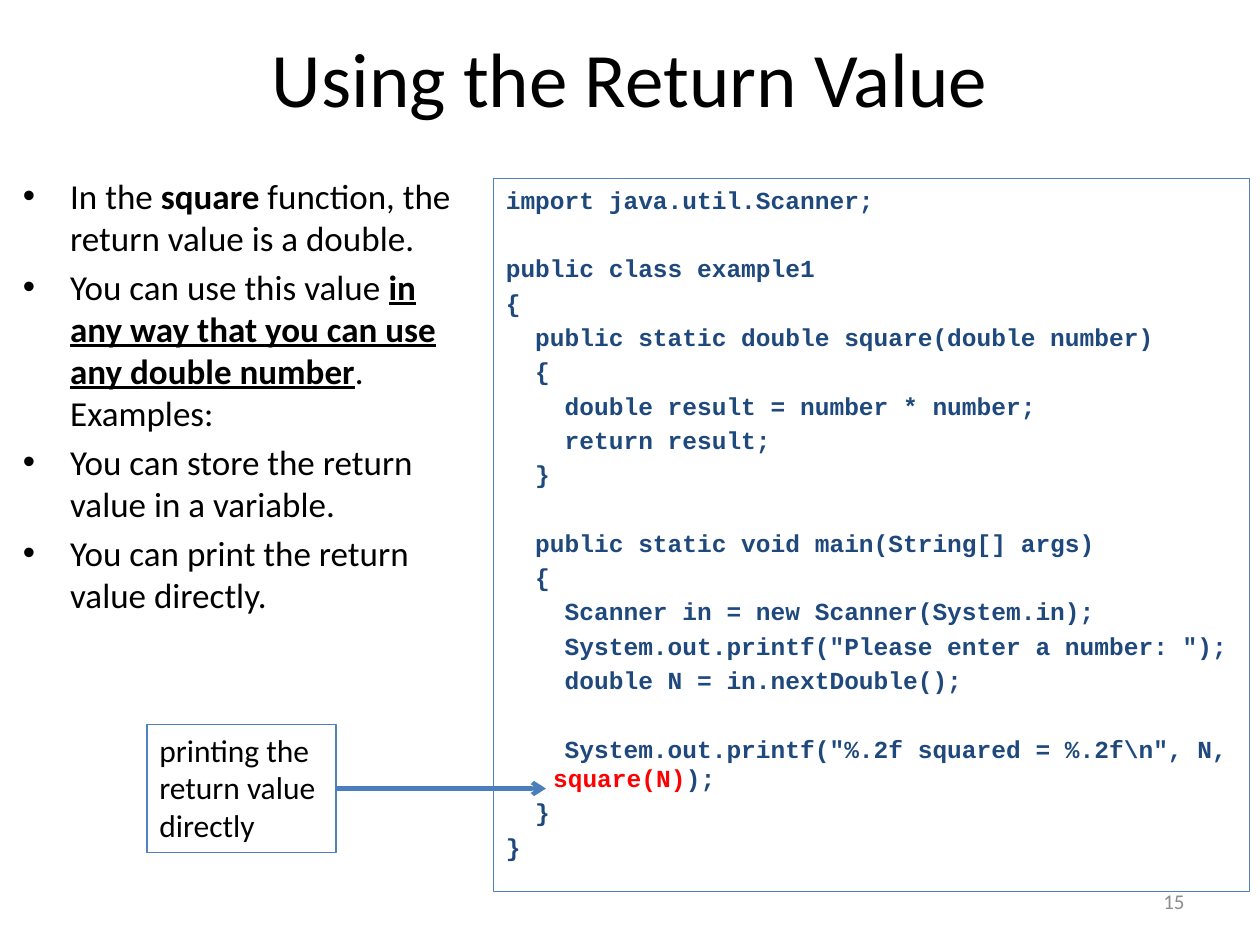
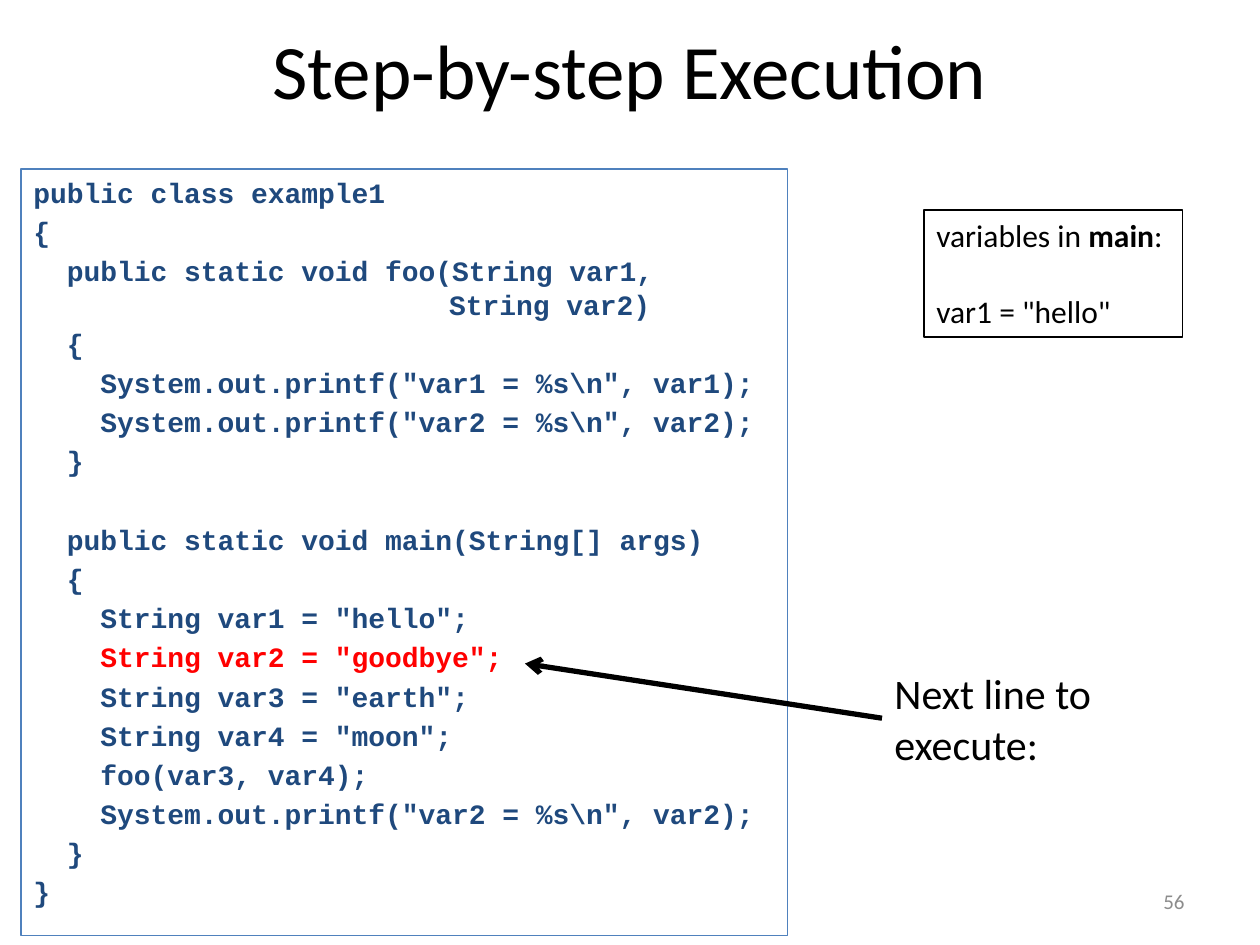
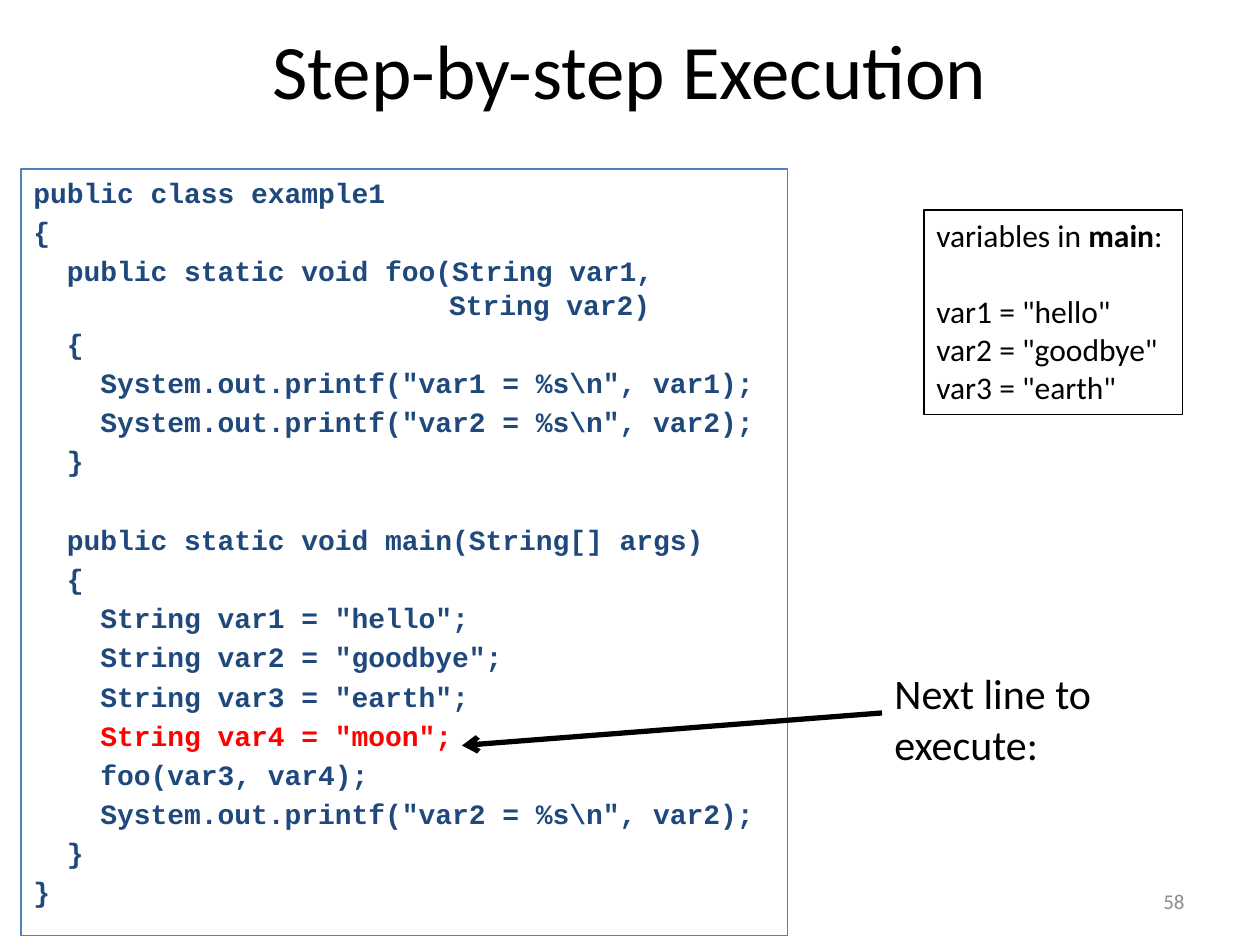
"""Build three slides on return values and step-by-step execution."""
from lxml.etree import SubElement
from pptx import Presentation
from pptx.dml.color import RGBColor
from pptx.enum.shapes import MSO_CONNECTOR, MSO_SHAPE
from pptx.enum.text import MSO_ANCHOR, PP_ALIGN
from pptx.oxml.ns import qn
from pptx.util import Pt

SCALE = 7620
BLACK = RGBColor(0x00, 0x00, 0x00)
NAVY = RGBColor(0x1F, 0x49, 0x7D)
BLUE = RGBColor(0x4F, 0x81, 0xBD)
STEEL = RGBColor(0x4B, 0x7E, 0xBC)
GRAY = RGBColor(0x8C, 0x8C, 0x8C)
RED = RGBColor(0xFF, 0x00, 0x00)
SANS, MONO = "Calibri", "Courier New"
HANG = 45

SQUARE = """import java.util.Scanner;

public class example1
{
  public static double square(double number)
  {
    double result = number * number;
    return result;
  }

  public static void main(String[] args)
  {
    Scanner in = new Scanner(System.in);
    System.out.printf("Please enter a number: ");
    double N = in.nextDouble();

    System.out.printf("%.2f squared = %.2f\\n", N, square(N));
  }
}"""

FOO = """public class example1
{
  public static void foo(String var1,\v                      String var2)
  {
    System.out.printf("var1 = %s\\n", var1);
    System.out.printf("var2 = %s\\n", var2);
  }

  public static void main(String[] args)
  {
    String var1 = "hello";
    String var2 = "goodbye";
    String var3 = "earth";
    String var4 = "moon";
    foo(var3, var4);
    System.out.printf("var2 = %s\\n", var2);
  }
}"""

NOTES = [
    [("In the", ""), (" square", "b"), (" function, the return value is a double.", "")],
    [("You can use this value ", ""),
     ("in any way that you can use any double number", "bu"), (". Examples:", "")],
    [("You can store the return value in a variable.", "")],
    [("You can print the return value directly.", "")],
]


def px(*nums):
    """Turn px lengths into EMU."""
    return [round(num * SCALE) for num in nums]


class Deck:
    """Hold the deck style and the current slide."""

    def __init__(self):
        """Start an empty deck."""
        self.prs = Presentation()
        self.prs.slide_width, self.prs.slide_height = px(1200, 900)
        self.slide = None

    def page(self, title, num, top, tall):
        """Add a slide with its title and number."""
        self.slide = self.prs.slides.add_slide(self.prs.slide_layouts[6])
        head = self.frame((60, top, 1080, tall), mid=True)
        self.para(head, [(title, "")], 44, align=PP_ALIGN.CENTER)
        foot = self.frame((860, 834, 280, 48), mid=True)
        self.para(foot, [(str(num), "")], 12, GRAY, align=PP_ALIGN.RIGHT)

    def frame(self, at, mid=False):
        """Add a text box and return its text frame."""
        return self.prep(self.slide.shapes.add_textbox(*px(*at)), mid)

    def prep(self, shape, mid=False):
        """Set wrap and anchor of a shape's text frame."""
        text = shape.text_frame
        text.word_wrap = True
        text.vertical_anchor = MSO_ANCHOR.MIDDLE if mid else MSO_ANCHOR.TOP
        return text

    def box(self, at, color):
        """Add an outlined rectangle."""
        shape = self.slide.shapes.add_shape(MSO_SHAPE.RECTANGLE, *px(*at))
        shape.shadow.inherit = False
        shape.fill.background()
        shape.line.color.rgb = color
        shape.line.width = Pt(0.75)
        self.prep(shape)
        return shape

    def para(self, frame, runs, size, color=BLACK, font=SANS, bold=False,
             gap=0, align=PP_ALIGN.LEFT, hang=False, dot=False):
        """Add a paragraph of (text, marks) runs: b bold, u underline, r red."""
        first = frame.paragraphs[0]
        fresh = not first.runs
        para = first if fresh else frame.add_paragraph()
        para.alignment = align
        para.space_before = Pt(0 if fresh else gap)
        prop = para._p.get_or_add_pPr()
        if hang:
            wide, = px(HANG)
            prop.set("marL", str(wide))
            prop.set("indent", str(-wide))
        if dot:
            SubElement(prop, qn("a:buFont")).set("typeface", "Arial")
            SubElement(prop, qn("a:buChar")).set("char", "•")
        para.font.name = font
        para.font.size = Pt(size)
        para.font.color.rgb = color
        para.font.bold = bold
        for text, marks in runs:
            for i, part in enumerate(text.split("\v")):
                if i:
                    para.add_line_break()
                run = para.add_run()
                run.text = part
                if "b" in marks:
                    run.font.bold = True
                if "u" in marks:
                    run.font.underline = True
                if "r" in marks:
                    run.font.color.rgb = RED

    def code(self, at, text, size, hot):
        """Add a framed listing with one part in red."""
        frame = self.box(at, BLUE).text_frame
        gap = 0.2 * size
        for line in text.split("\n"):
            if not line:
                gap = 1.6 * size
                continue
            pre, mark, post = line.partition(hot)
            runs = [run for run in ((pre, ""), (mark, "r"), (post, "")) if run[0]]
            self.para(frame, runs, size, NAVY, MONO, True, gap, hang=True)
            gap = 0.2 * size

    def arrow(self, start, end, color, width, source=None):
        """Add an arrow, joined to the right side of its source if given."""
        line = self.slide.shapes.add_connector(MSO_CONNECTOR.STRAIGHT, *px(*start, *end))
        if source is not None:
            line.begin_connect(source, 3)
        line.line.color.rgb = color
        line.line.width = Pt(width)
        prop = line._element.spPr
        SubElement(prop.find(qn("a:ln")), qn("a:tailEnd")).set("type", "arrow")
        SubElement(prop, qn("a:effectLst"))

    def step(self, num, hot, known, start, end):
        """Add a slide that shows one step of the run."""
        self.page("Step-by-step Execution", num, 10, 110)
        label = self.frame((840, 630, 222, 109))
        for text in ("Next line to", "execute:"):
            self.para(label, [(text, "")], 24)
        state = self.box((880, 200, 246, 84 + 37 * len(known)), BLACK).text_frame
        self.para(state, [("variables in ", ""), ("main", "b"), (":", "")], 18)
        for i, text in enumerate(known):
            self.para(state, [(text, "")], 18, gap=0 if i else 22)
        self.code((20, 161, 730, 730), FOO, 16, hot)
        self.arrow(start, end, BLACK, 3)


def main():
    """Build and save the deck."""
    deck = Deck()
    deck.page("Using the Return Value", 15, 16, 114)
    body = deck.frame((10, 160, 450, 713))
    for runs in NOTES:
        deck.para(body, runs, 20, gap=4, hang=True, dot=True)
    deck.code((470, 170, 720, 679), SQUARE, 14, "square(N)")
    note = deck.box((140, 690, 180, 122), BLUE)
    deck.para(note.text_frame, [("printing the return value directly", "")], 18)
    deck.arrow((320, 751), (520, 751), STEEL, 2.5, note)

    known = ['var1 = "hello"', 'var2 = "goodbye"', 'var3 = "earth"']
    deck.step(56, 'String var2 = "goodbye";', known[:1], (840, 684), (500, 632))
    deck.step(58, 'String var4 = "moon";', known, (840, 679), (440, 710))
    deck.prs.save("out.pptx")


if __name__ == "__main__":
    main()
